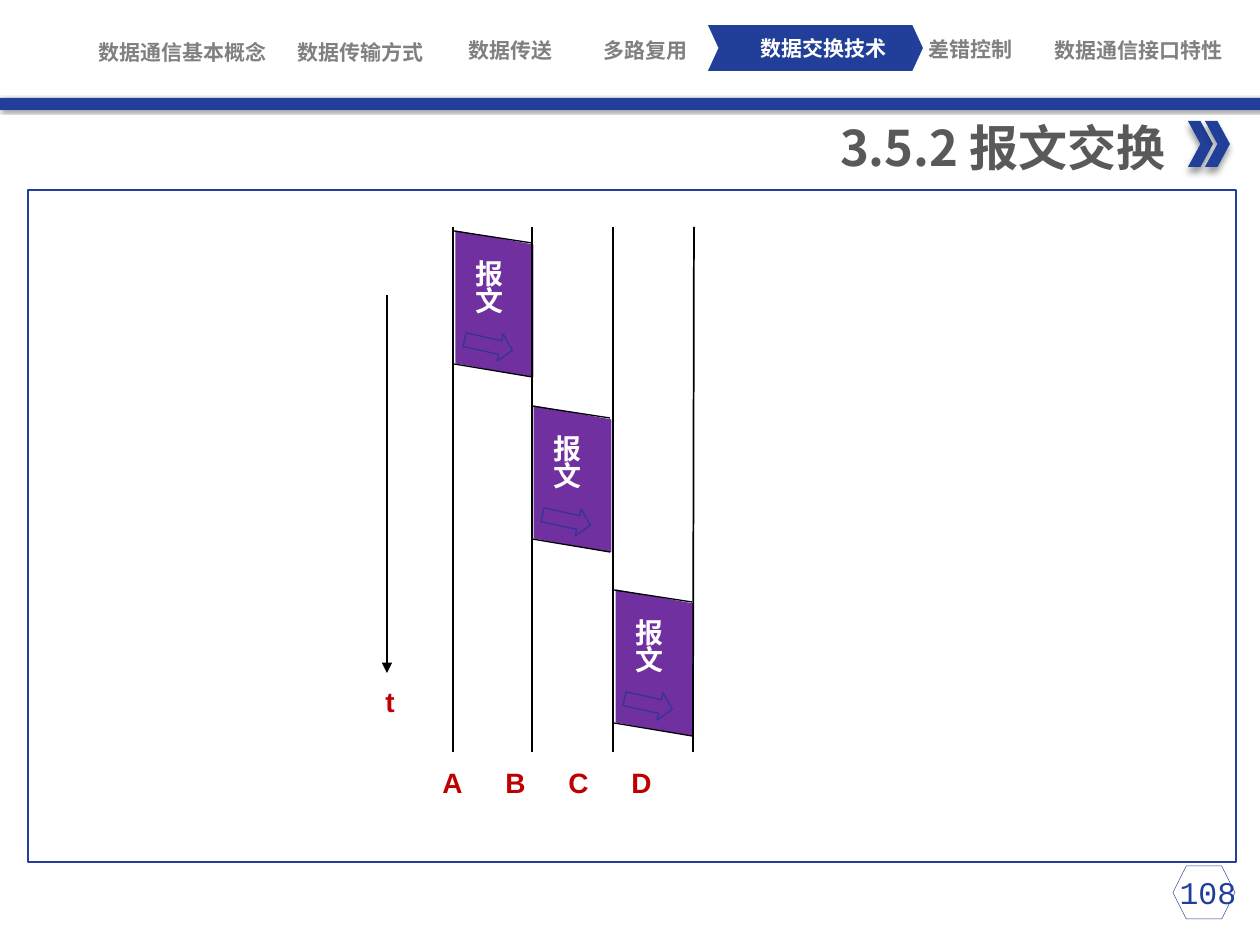
"""Build the slide on message switching with its time diagram."""
from lxml import etree
from pptx import Presentation
from pptx.dml.color import RGBColor
from pptx.enum.shapes import MSO_CONNECTOR, MSO_SHAPE
from pptx.enum.text import MSO_ANCHOR, MSO_AUTO_SIZE, PP_ALIGN
from pptx.oxml.ns import qn
from pptx.util import Pt

PX = 914400 // 126
BLUE = RGBColor(0x21, 0x3F, 0x99)
INDIGO = RGBColor(0x33, 0x33, 0x99)
PURPLE = RGBColor(0x70, 0x30, 0xA0)
RED = RGBColor(0xC0, 0x00, 0x00)
GREY = RGBColor(0x80, 0x80, 0x80)
DARK_GREY = RGBColor(0x59, 0x59, 0x59)
WHITE = RGBColor(0xFF, 0xFF, 0xFF)
BLACK = RGBColor(0x00, 0x00, 0x00)
LEFT, CENTER, RIGHT = PP_ALIGN.LEFT, PP_ALIGN.CENTER, PP_ALIGN.RIGHT
TOP, MIDDLE = MSO_ANCHOR.TOP, MSO_ANCHOR.MIDDLE
STRAIGHT = MSO_CONNECTOR.STRAIGHT
RECTANGLE, CHEVRON = MSO_SHAPE.RECTANGLE, MSO_SHAPE.CHEVRON
PARALLELOGRAM, HEXAGON = MSO_SHAPE.PARALLELOGRAM, MSO_SHAPE.HEXAGON
RIGHT_ARROW = MSO_SHAPE.RIGHT_ARROW

prs = Presentation()
prs.slide_width, prs.slide_height = 1260 * PX, 945 * PX
slide = prs.slides.add_slide(prs.slide_layouts[5])
shapes = slide.shapes


def draw_shape(kind, box, fill=None, line=None, width=0.75):
    shape = shapes.add_shape(kind, *(value * PX for value in box))
    shape.shadow.inherit = False
    if fill is None:
        shape.fill.background()
    else:
        shape.fill.solid()
        shape.fill.fore_color.rgb = fill
    if line is None:
        shape.line.fill.background()
    else:
        shape.line.color.rgb = line
        shape.line.width = Pt(width)
    return shape


def write_text(shape, text, size, font, color, align=LEFT, anchor=TOP, bold=True, wrap=True):
    frame = shape.text_frame
    frame.text = text
    frame.word_wrap = wrap
    frame.auto_size = MSO_AUTO_SIZE.NONE
    frame.vertical_anchor = anchor
    for paragraph in frame.paragraphs:
        paragraph.alignment = align
        paragraph.font.size = Pt(size)
        paragraph.font.name = font
        paragraph.font.bold = bold
        paragraph.font.color.rgb = color
    return frame


active_tab = draw_shape(CHEVRON, (708, 25, 215, 46), BLUE)
active_tab.adjustments[0] = 0.23

for topic, left, top, width, color in [
    ("数据通信基本概念", 91, 40, 183, GREY),
    ("数据传输方式", 269, 40, 183, GREY),
    ("数据传送", 431, 38, 160, GREY),
    ("多路复用", 554, 38, 183, GREY),
    ("数据交换技术", 732, 36, 183, WHITE),
    ("差错控制", 879, 37, 183, GREY),
    ("数据通信接口特性", 1018, 38, 242, GREY),
]:
    tab = shapes.add_textbox(left * PX, top * PX, width * PX, 25 * PX)
    frame = write_text(tab, topic, 12, "Roboto Condensed", color, CENTER, MIDDLE)
    frame.margin_left = frame.margin_right = frame.margin_top = frame.margin_bottom = 0

for kind, box, blur, distance, angle in [
    (RECTANGLE, (0, 98, 1260, 12), 2, 1, 45),
    (CHEVRON, (1188, 121, 25, 46), 4, 3, 90),
    (CHEVRON, (1205, 121, 25, 46), 4, 3, 90),
]:
    ornament = draw_shape(kind, box, BLUE)
    effects = ornament._element.spPr.find(qn("a:effectLst"))
    shadow = etree.SubElement(
        effects, qn("a:outerShdw"), blurRad=str(Pt(blur)), dist=str(Pt(distance)),
        dir=str(angle * 60000), algn="t", rotWithShape="0")
    shade = etree.SubElement(shadow, qn("a:srgbClr"), val="000000")
    etree.SubElement(shade, qn("a:alpha"), val="40000")

title = shapes.title
title.left, title.top, title.width, title.height = 805 * PX, 111 * PX, 373 * PX, 72 * PX
write_text(title, "3.5.2 报文交换", 28, "Noto Sans CJK SC", DARK_GREY, RIGHT, MIDDLE, wrap=False)

draw_shape(RECTANGLE, (28, 190, 1208, 672), line=BLUE)
page_number = shapes.add_textbox(1158 * PX, 867 * PX, 100 * PX, 50 * PX)
write_text(page_number, "108", 18, "Courier New", BLUE, CENTER, bold=False)
draw_shape(HEXAGON, (1173, 866, 62, 53), line=BLUE, width=0.25)

lines = [(x, 227, x, 752, 1) for x in (453, 532, 613)]
for x, y in [(454, 231), (532, 406), (614, 590)]:
    message = draw_shape(PARALLELOGRAM, (x - 33, y + 34, 147, 78), PURPLE)
    message.rotation = 90
    message.adjustments[0] = 0.18
    direction = draw_shape(RIGHT_ARROW, (x + 10, y + 100, 49, 28), PURPLE, INDIGO)
    direction.rotation = 12.4
    direction.adjustments[1] = 0.45
    caption = draw_shape(RECTANGLE, (x + 9, y + 26, 54, 67), PURPLE)
    frame = write_text(caption, "报\n文", 16, "Arial", WHITE, wrap=False)
    frame.auto_size = MSO_AUTO_SIZE.SHAPE_TO_FIT_TEXT
    for paragraph in frame.paragraphs:
        paragraph.line_spacing = 0.8
    lines += [(x, y, x + 78, y + 12, 0.75), (x, y + 133, x + 78, y + 146, 0.75)]

lines.append((387, 295, 387, 673, 1.5))
for x1, y1, x2, y2, width in lines:
    connector = shapes.add_connector(STRAIGHT, x1 * PX, y1 * PX, x2 * PX, y2 * PX)
    connector.line.color.rgb = BLACK
    connector.line.width = Pt(width)
    etree.SubElement(connector._element.spPr, qn("a:effectLst"))
time_axis = connector
etree.SubElement(time_axis.line._get_or_add_ln(), qn("a:tailEnd"), type="triangle")

outline = shapes.build_freeform(694, 227, scale=PX)
outline.add_line_segments([(693, 752)], close=False)
station_d = outline.convert_to_shape()
station_d.shadow.inherit = False
station_d.fill.background()
station_d.line.color.rgb = BLACK
station_d.line.width = Pt(1)

stations = shapes.add_textbox(430 * PX, 759 * PX, 319 * PX, 47 * PX)
stations.text_frame.text = "A"
tabs = etree.SubElement(
    stations.text_frame.paragraphs[0]._p.get_or_add_pPr(), qn("a:tabLst"))
for column in (1, 2, 3):
    etree.SubElement(tabs, qn("a:tab"), pos=str(column * 89 * PX), algn="l")
write_text(stations, "A\tB\tC\tD", 16, "Arial", RED)

time_label = shapes.add_textbox(373 * PX, 678 * PX, 35 * PX, 47 * PX)
write_text(time_label, "t", 16, "Arial", RED, wrap=False)

prs.save("out.pptx")
